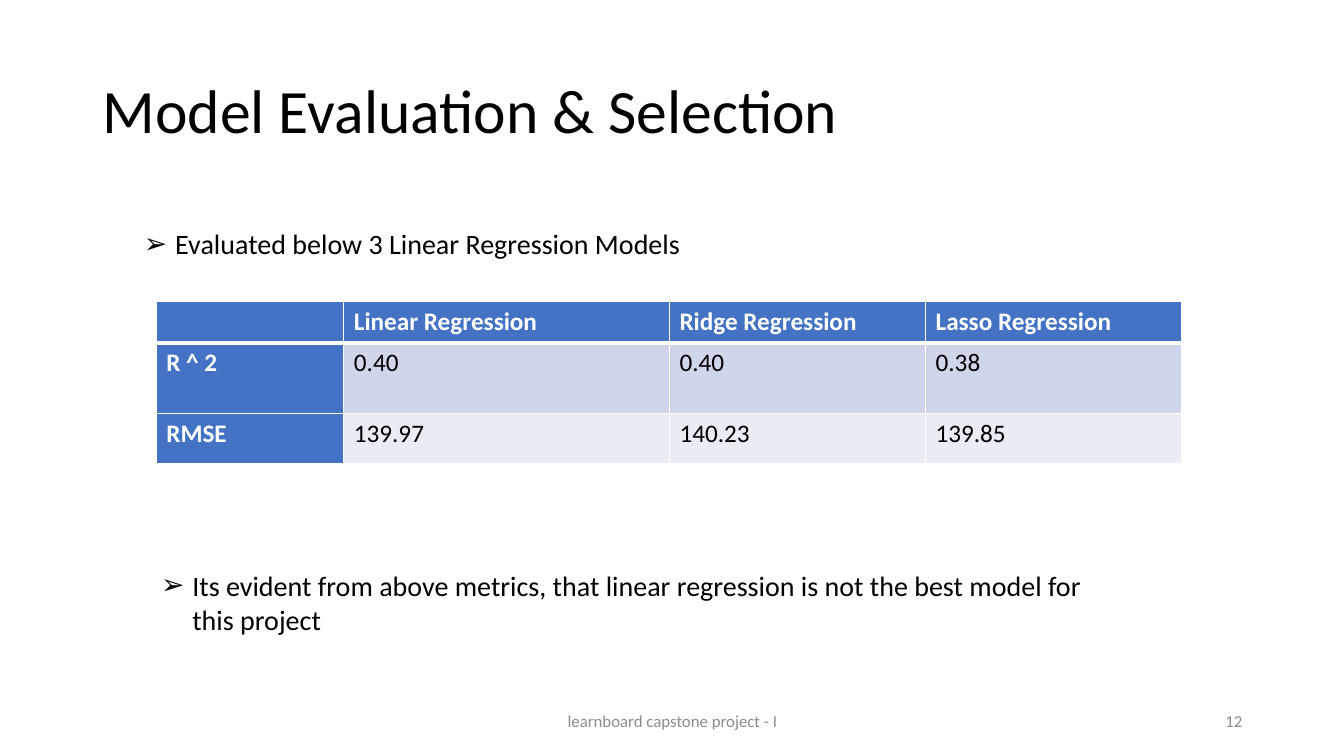
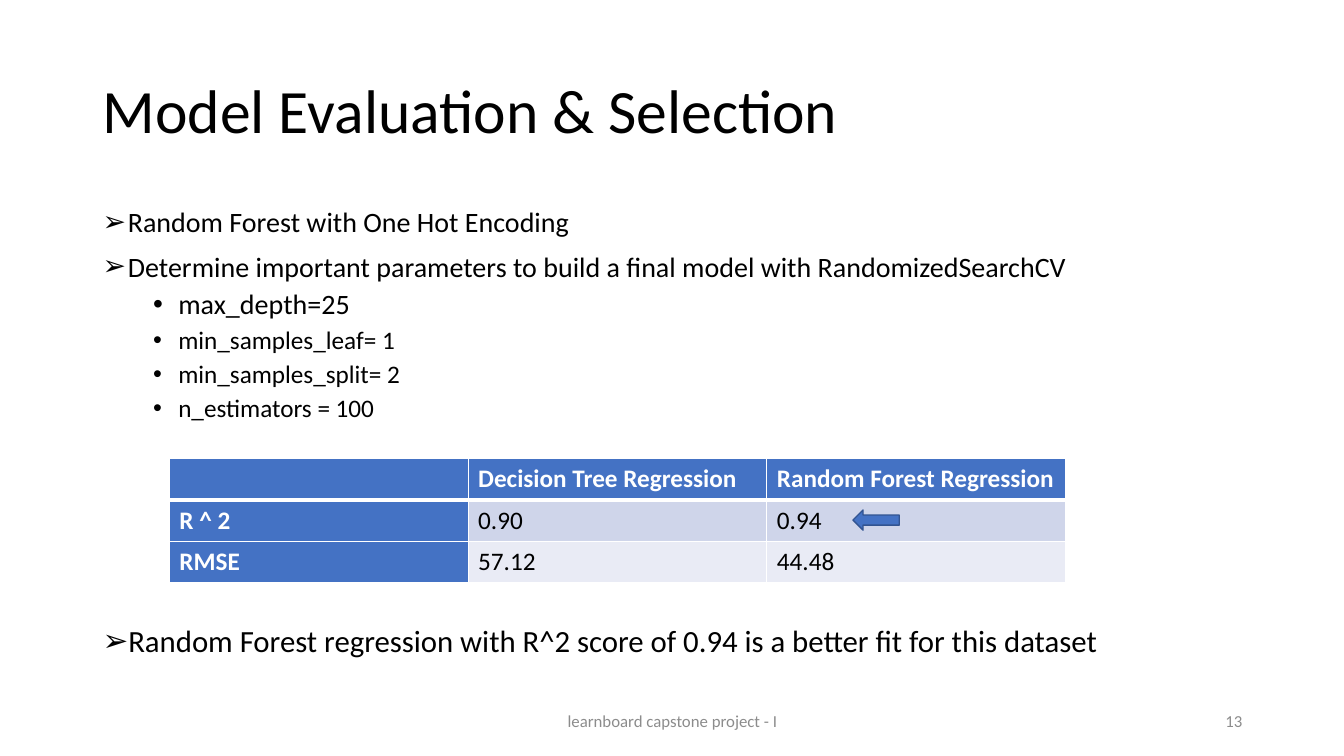
"""Build two slides that compare regression models."""
from lxml import etree
from pptx import Presentation
from pptx import util as u
from pptx.dml import color
from pptx.enum import shapes, text
from pptx.oxml import ns

FONT = "Calibri"
COLORS = {
    "ink": "000000", "paper": "FFFFFF", "muted": "8C8C8C", "accent": "4472C4",
    "outline": "325491", "band_dark": "CFD5EA", "band_light": "E9EBF5",
}
TITLE_BOX = (0.92, 0.4, 11.5, 1.45)
FOOTER_BOX = (4.42, 6.95, 4.5, 0.4)
NUMBER_BOX = (9.42, 6.95, 3, 0.4)
TITLE = "Model Evaluation & Selection"
FOOTER = "learnboard capstone project - I"
ARROW_BULLET, DOT_BULLET = "\u27a2", "\u2022"


def rgb(name):
    """Return the named palette colour."""
    return color.RGBColor.from_string(COLORS[name])


def inches(box):
    """Convert a box of numbers to lengths."""
    return [u.Inches(value) for value in box]


def write(para, words, size=18, ink="ink", bold=False, align=None, spacing=1.0,
          before=0, level=0, bullet=None, margin=0.0, hang=0.0):
    """Put formatted words, with an optional bullet, into a paragraph."""
    span = para.add_run()
    span.text = words
    span.font.name, span.font.size, span.font.bold = FONT, u.Pt(size), bold
    span.font.color.rgb = rgb(ink)
    para.alignment = align or text.PP_ALIGN.LEFT
    para.line_spacing, para.space_before, para.level = spacing, u.Pt(before), level
    if bullet:
        props = para._p.get_or_add_pPr()
        props.set("marL", str(u.Inches(margin)))
        props.set("indent", str(-u.Inches(hang)))
        etree.SubElement(props, ns.qn("a:buFont"), typeface="Arial")
        etree.SubElement(props, ns.qn("a:buChar"), char=bullet)


def add_text(page, box, lines, anchor=text.MSO_ANCHOR.TOP):
    """Add a wrapped text box from (words, format) lines."""
    frame = page.shapes.add_textbox(*inches(box)).text_frame
    frame.word_wrap, frame.vertical_anchor = True, anchor
    for index, (words, style) in enumerate(lines):
        para = frame.add_paragraph() if index else frame.paragraphs[0]
        write(para, words, **style)


def add_page(deck, number):
    """Add a titled slide with its footer and number."""
    page = deck.slides.add_slide(deck.slide_layouts[5])
    title = page.shapes.title
    title.left, title.top, title.width, title.height = inches(TITLE_BOX)
    title.text_frame.vertical_anchor = text.MSO_ANCHOR.MIDDLE
    write(title.text_frame.paragraphs[0], TITLE, size=44, spacing=0.9)
    for box, words, align in (
            (FOOTER_BOX, FOOTER, text.PP_ALIGN.CENTER),
            (NUMBER_BOX, str(number), text.PP_ALIGN.RIGHT)):
        style = dict(size=12, ink="muted", align=align)
        add_text(page, box, [(words, style)], text.MSO_ANCHOR.MIDDLE)
    return page


def set_borders(cell, row):
    """Draw white cell borders, thicker under the header row."""
    props = cell._tc.get_or_add_tcPr()
    widths = {"L": 1, "R": 1, "T": 3 if row == 1 else 1, "B": 3 if row == 0 else 1}
    for index, (side, width) in enumerate(widths.items()):
        line = etree.Element(ns.qn("a:ln" + side), w=str(u.Pt(width)))
        fill = etree.SubElement(line, ns.qn("a:solidFill"))
        etree.SubElement(fill, ns.qn("a:srgbClr"), val=COLORS["paper"])
        props.insert(index, line)


def add_metrics(page, left, top, widths, heights, rows):
    """Add a metrics table with a header row and header column."""
    box = (left, top, sum(widths), sum(heights))
    table = page.shapes.add_table(len(rows), len(widths), *inches(box)).table
    for column, width in zip(table.columns, widths):
        column.width = u.Inches(width)
    for row, (values, height) in enumerate(zip(rows, heights)):
        table.rows[row].height = u.Inches(height)
        for col, value in enumerate(values):
            cell = table.cell(row, col)
            header = row == 0 or col == 0
            band = "band_dark" if row % 2 else "band_light"
            cell.fill.solid()
            cell.fill.fore_color.rgb = rgb("accent" if header else band)
            set_borders(cell, row)
            if value:
                write(cell.text_frame.paragraphs[0], value, bold=header,
                      ink="paper" if header else "ink")


def add_marker(page, box):
    """Add a left arrow that points at the best score."""
    arrow = page.shapes.add_shape(shapes.MSO_SHAPE.LEFT_ARROW, *inches(box))
    arrow.shadow.inherit = False
    arrow.fill.solid()
    arrow.fill.fore_color.rgb = rgb("accent")
    arrow.line.color.rgb = rgb("outline")
    arrow.line.width = u.Pt(1)


def linear_models(deck):
    """Build the slide on linear regression models."""
    page = add_page(deck, 12)
    point = dict(size=20, bullet=ARROW_BULLET, margin=0.31, hang=0.31)
    add_text(page, (1.33, 2.2, 5.6, 0.44),
             [("Evaluated below 3 Linear Regression Models", point)])
    add_metrics(page, 1.55, 2.99, (1.86, 3.23, 2.54, 2.54), (0.41, 0.7, 0.5), [
        ("", "Linear Regression", "Ridge Regression", "Lasso Regression"),
        ("R ^ 2", "0.40", "0.40", "0.38"),
        ("RMSE", "139.97", "140.23", "139.85"),
    ])
    add_text(page, (1.5, 5.59, 9.7, 0.77),
             [("Its evident from above metrics, that linear regression is not "
               "the best model for this project", point)])


def tree_models(deck):
    """Build the slide on tree and forest models."""
    page = add_page(deck, 13)
    point = dict(size=20, spacing=0.9, before=10, bullet=ARROW_BULLET,
                 margin=0.25, hang=0.25)
    detail = dict(point, size=18, before=5, level=1, bullet=DOT_BULLET, margin=0.75)
    add_text(page, (0.92, 2.02, 11.5, 2.3), [
        ("Random Forest with One Hot Encoding", point),
        ("Determine important parameters to build a final model with "
         "RandomizedSearchCV", point),
        ("max_depth=25", dict(detail, size=20)),
        ("min_samples_leaf= 1", detail),
        ("min_samples_split= 2", detail),
        ("n_estimators = 100", detail),
    ])
    add_metrics(page, 1.68, 4.55, [8.89 / 3] * 3, [0.41] * 3, [
        ("", "Decision Tree Regression", "Random Forest Regression"),
        ("R ^ 2", "0.90", "0.94"),
        ("RMSE", "57.12", "44.48"),
    ])
    add_marker(page, (8.46, 5.06, 0.46, 0.2))
    add_text(page, (0.92, 6.16, 11.5, 0.45),
             [("Random Forest regression with R^2 score of 0.94 is a better fit "
               "for this dataset", dict(point, size=22, before=0))])


def main():
    """Create and save the deck."""
    deck = Presentation()
    deck.slide_width, deck.slide_height = u.Inches(13.33), u.Inches(7.5)
    linear_models(deck)
    tree_models(deck)
    deck.save("out.pptx")


main()
